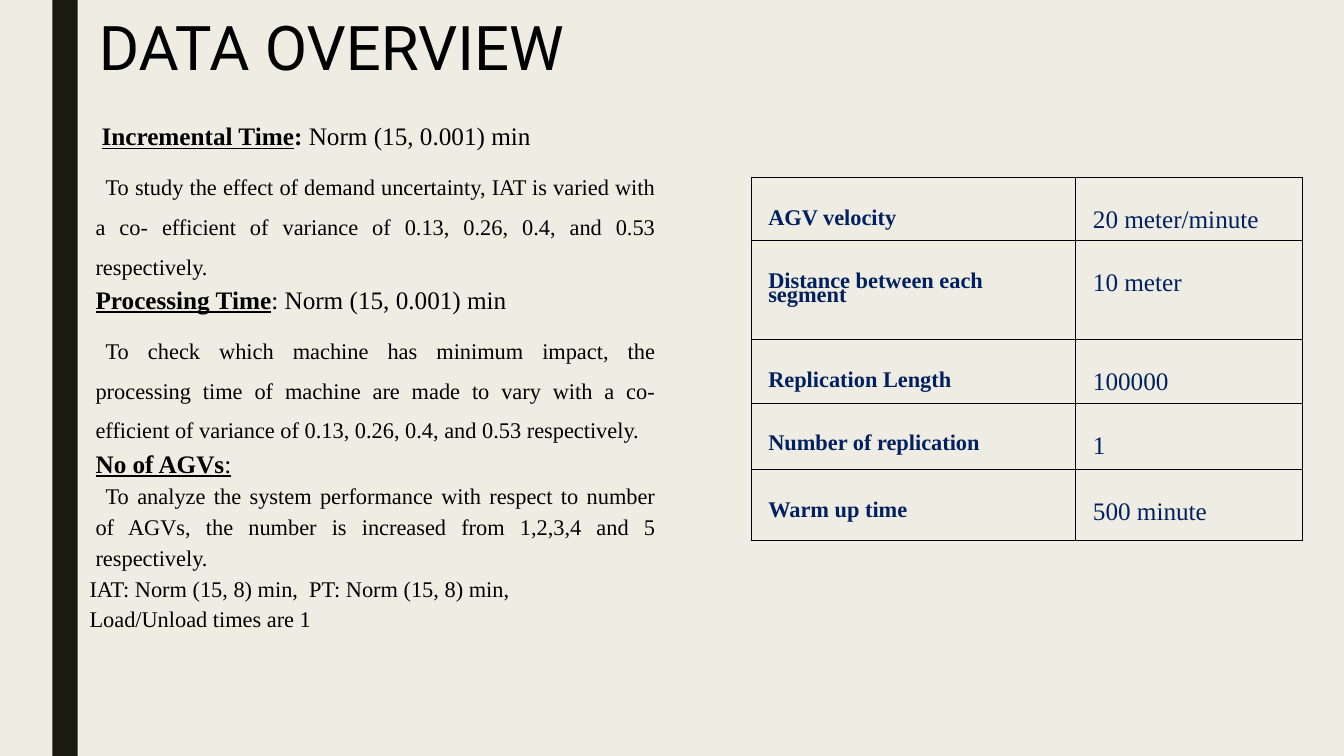
from lxml.etree import SubElement
from pptx import Presentation
from pptx.dml.color import RGBColor
from pptx.enum.shapes import MSO_SHAPE
from pptx.enum.text import MSO_ANCHOR, MSO_AUTO_SIZE, PP_ALIGN
from pptx.oxml.ns import qn
from pptx.util import Inches, Pt

TITLE = "DATA OVERVIEW"
BODY_FONT = "Times New Roman"
BLACK, NAVY = "000000", "002060"

# Paragraph styles: left margin, first-line indent, line spacing, space before, size
STYLES = {
    "opening": (0.33, 0.06, 1.15, 10, 18),
    "heading": (0.33, 0, 1.15, 0, 18),
    "detail": (0.33, 0.1, 1.48, 7, 16),
    "compact detail": (0.33, 0.1, 1.15, 0, 16),
    "closing": (0.27, 0, 1.15, 0, 16),
}
RIGHT_INDENT = 0.75
# Style, then runs of (text, bold, underline)
BODY = [
    ("opening", [("Incremental Time", True, True), (":", True, False),
                 (" Norm (15, 0.001) min", False, False)]),
    ("detail", [("To study the effect of demand uncertainty, IAT is varied with a co- efficient "
                 "of variance of 0.13, 0.26, 0.4, and 0.53 respectively.", False, False)]),
    ("heading", [("Processing Time", True, True), (": Norm (15, 0.001) min", False, False)]),
    ("detail", [("To check which machine has minimum impact, the processing time of machine are "
                 "made to vary with a co-efficient of variance of 0.13, 0.26, 0.4, and 0.53 "
                 "respectively.", False, False)]),
    ("heading", [("No of AGVs", True, True), (":", False, True)]),
    ("compact detail", [("To analyze the system performance with respect to number of AGVs, the "
                         "number is increased from 1,2,3,4 and 5 respectively.", False, False)]),
    ("closing", [("IAT: Norm (15, 8) min,  PT: Norm (15, 8) min,", False, False)]),
    ("closing", [("Load/Unload times are 1", False, False)]),
]
# Parameter, value, row height
PARAMETERS = [
    ("AGV velocity", "20 meter/minute", 0.63),
    ("Distance between each segment", "10 meter", 0.98),
    ("Replication Length", "100000", 0.63),
    ("Number of replication", "1", 0.66),
    ("Warm up time", "500 minute", 0.7),
]
# Column width, text size, bold, top margin
COLUMNS = [(3.22, 16, True, 0.36), (2.25, 18, False, 0.38)]


def color(value):
    return RGBColor.from_string(value)


def set_font(font, name, size, value):
    font.name, font.size = name, Pt(size)
    font.color.rgb = color(value)


def set_indent(paragraph, left, first_line, right=0):
    properties = paragraph._p.get_or_add_pPr()
    for name, length in (("marL", left), ("marR", right), ("indent", first_line)):
        properties.set(name, str(Inches(length)))


def set_borders(cell):
    properties = cell._tc.get_or_add_tcPr()
    for index, side in enumerate(("lnL", "lnR", "lnT", "lnB")):
        line = SubElement(properties, qn(f"a:{side}"), w=str(Pt(1)))
        fill = SubElement(line, qn("a:solidFill"))
        SubElement(fill, qn("a:srgbClr"), val=BLACK)
        properties.insert(index, line)


presentation = Presentation()
presentation.slide_width, presentation.slide_height = Inches(13.33), Inches(7.5)
slide = presentation.slides.add_slide(presentation.slide_layouts[5])
slide.background.fill.solid()
slide.background.fill.fore_color.rgb = color("EFEDE3")

# Side bar
bar = slide.shapes.add_shape(MSO_SHAPE.RECTANGLE, Inches(0.52), 0, Inches(0.25), Inches(7.5))
bar.shadow.inherit = False
bar.fill.solid()
bar.fill.fore_color.rgb = color("191B0E")
bar.line.fill.background()

# Title
title = slide.shapes.title
title.left, title.top, title.width, title.height = map(Inches, (0.88, 0.15, 6.83, 0.7))
title.text_frame.text = TITLE
title.text_frame.auto_size = MSO_AUTO_SIZE.NONE
title.text_frame.vertical_anchor = MSO_ANCHOR.MIDDLE
paragraph = title.text_frame.paragraphs[0]
paragraph.alignment, paragraph.line_spacing = PP_ALIGN.LEFT, 0.89
set_font(paragraph.font, "Roboto", 44, BLACK)

# Body text
body = slide.shapes.add_textbox(*map(Inches, (0.52, 1.1, 6.83, 5.73)))
frame = body.text_frame
frame.word_wrap = True
for index, (style, runs) in enumerate(BODY):
    left, first_line, line_spacing, space_before, size = STYLES[style]
    paragraph = frame.add_paragraph() if index else frame.paragraphs[0]
    paragraph.alignment = PP_ALIGN.JUSTIFY
    paragraph.line_spacing, paragraph.space_before = line_spacing, Pt(space_before)
    set_indent(paragraph, left, first_line, RIGHT_INDENT)
    set_font(paragraph.font, BODY_FONT, size, BLACK)
    for text, bold, underline in runs:
        run = paragraph.add_run()
        run.text, run.font.bold, run.font.underline = text, bold, underline

# Parameter table
table_width = sum(column[0] for column in COLUMNS)
table_height = sum(parameter[2] for parameter in PARAMETERS)
table = slide.shapes.add_table(len(PARAMETERS), len(COLUMNS), Inches(7.45), Inches(1.76),
                               Inches(table_width), Inches(table_height)).table
table.first_row = table.horz_banding = False
for column, (width, *_) in zip(table.columns, COLUMNS):
    column.width = Inches(width)
for row, (name, value, height) in zip(table.rows, PARAMETERS):
    row.height = Inches(height)
    for cell, text, (_, size, bold, top) in zip(row.cells, (name, value), COLUMNS):
        cell.text = text
        cell.fill.background()
        cell.margin_left = cell.margin_right = Inches(0.1)
        cell.margin_top, cell.margin_bottom = Inches(top), Inches(0.05)
        paragraph = cell.text_frame.paragraphs[0]
        paragraph.line_spacing = 0.57
        set_indent(paragraph, 0.07, 0)
        set_font(paragraph.font, BODY_FONT, size, NAVY)
        paragraph.font.bold = bold
        set_borders(cell)

presentation.save("out.pptx")
